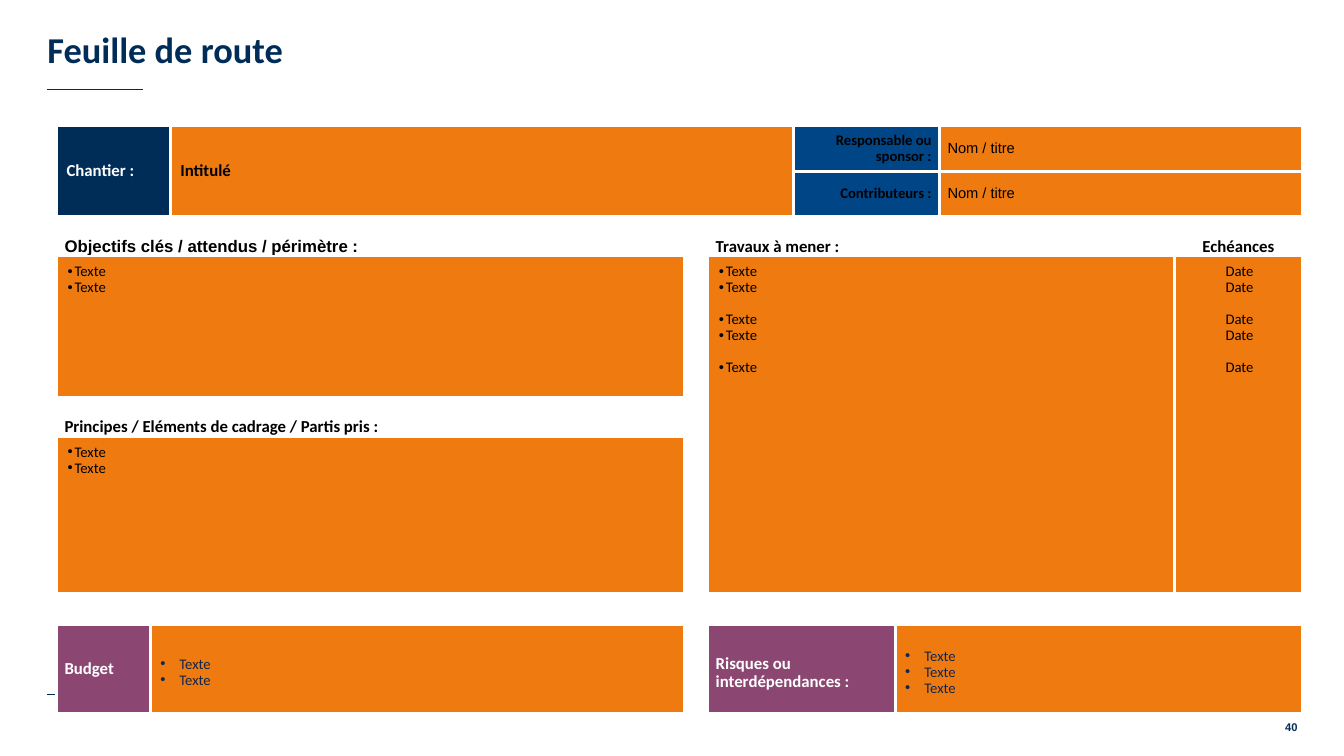
from lxml import etree
from pptx import Presentation
from pptx.dml.color import RGBColor
from pptx.enum import shapes, text
from pptx.oxml import ns
from pptx.util import Inches, Pt

NAVY = RGBColor(0x00, 0x2C, 0x58)
BLUE = RGBColor(0x00, 0x46, 0x87)
ORANGE = RGBColor(0xEF, 0x7B, 0x10)
PLUM = RGBColor(0x8B, 0x47, 0x71)
INK = RGBColor(0x13, 0x26, 0x4A)
BLACK = RGBColor(0, 0, 0)
WHITE = RGBColor(0xFF, 0xFF, 0xFF)

TOP, MIDDLE, BOTTOM = (text.MSO_ANCHOR.TOP, text.MSO_ANCHOR.MIDDLE,
                       text.MSO_ANCHOR.BOTTOM)
LEFT, CENTER, RIGHT = text.PP_ALIGN.LEFT, text.PP_ALIGN.CENTER, text.PP_ALIGN.RIGHT

COLUMNS = [0.93, 0.16, 5.1, 0.23, 0.85, 1.01, 0.44, 2.33, 1.27]
ROWS = [0.45, 0.45, 0.39, 1.4, 0.39, 1.56, 0.3, 0.88]
GROUP_GAP = Pt(11.4)  # one line between groups of tasks


def add_run(p, content, size, color=BLACK, bold=False, font="Calibri"):
    r = p.add_run()
    r.text = content
    r.font.size, r.font.name, r.font.bold = Pt(size), font, bold
    r.font.color.rgb = color


def add_rule(slide, x1, x2, y):
    line = slide.shapes.add_connector(shapes.MSO_CONNECTOR.STRAIGHT,
                                      Inches(x1), Inches(y), Inches(x2), Inches(y))
    line.line.color.rgb = NAVY
    line.line.width = Pt(0.75)
    etree.SubElement(line._element.spPr, ns.qn("a:effectLst"))


def set_margins(box, left, top, right, bottom):
    box.margin_left, box.margin_top = Inches(left), Inches(top)
    box.margin_right, box.margin_bottom = Inches(right), Inches(bottom)


def set_indent(p, left, first=0, bullet=None):
    pPr = p._p.get_or_add_pPr()
    pPr.set("marL", str(Inches(left)))
    pPr.set("indent", str(Inches(first)))
    if bullet is not None:
        color = etree.SubElement(pPr, ns.qn("a:buClr"))
        etree.SubElement(color, ns.qn("a:srgbClr"), val=str(bullet))
        etree.SubElement(pPr, ns.qn("a:buFont"), typeface="Arial")
        etree.SubElement(pPr, ns.qn("a:buChar"), char="•")


def add_white_borders(cell):
    tcPr = cell._tc.get_or_add_tcPr()
    for side in ("lnL", "lnR", "lnT", "lnB"):
        ln = etree.SubElement(tcPr, ns.qn("a:" + side), w=str(Pt(2.25)))
        fill = etree.SubElement(ln, ns.qn("a:solidFill"))
        etree.SubElement(fill, ns.qn("a:srgbClr"), val=str(WHITE))


def add_grid(slide):
    frame = slide.shapes.add_table(len(ROWS), len(COLUMNS), Inches(0.56), Inches(1.25),
                                   Inches(sum(COLUMNS)), Inches(sum(ROWS)))
    table = frame.table
    table.first_row = table.horz_banding = False
    for column, width in zip(table.columns, COLUMNS):
        column.width = Inches(width)
    for row, height in zip(table.rows, ROWS):
        row.height = Inches(height)
    for cell in table.iter_cells():
        add_white_borders(cell)
        set_margins(cell, 0, 0, 0, 0)
        cell.fill.solid()
        cell.fill.fore_color.rgb = WHITE
    return table


def area(table, row, col, rows=1, cols=1, fill=WHITE, anchor=MIDDLE, top=0):
    cell = table.cell(row, col)
    if rows * cols > 1:
        cell.merge(table.cell(row + rows - 1, col + cols - 1))
    cell.fill.fore_color.rgb = fill
    cell.vertical_anchor = anchor
    set_margins(cell, 0.08, top, 0.08, 0)
    return cell


def write_label(cell, content, size=12, color=BLACK, bold=True, font="Calibri",
                align=LEFT, indent=0):
    p = cell.text_frame.paragraphs[0]
    p.alignment, p.line_spacing = align, 0.9
    set_indent(p, indent)
    add_run(p, content, size, color, bold, font)


def write_list(cell, word, groups, left, first=0, color=BLACK, bulleted=True, align=LEFT):
    """Write the word once per line, with a gap before each later group."""
    tf = cell.text_frame
    for g, count in enumerate(groups):
        for i in range(count):
            p = tf.paragraphs[0] if g == i == 0 else tf.add_paragraph()
            p.alignment, p.line_spacing = align, 0.9
            if g and i == 0:
                p.space_before = GROUP_GAP
            set_indent(p, left, first, color if bulleted else None)
            add_run(p, word, 10.5, color)


def add_title(slide, content):
    title = slide.shapes.title
    title.left, title.top = Inches(0.47), Inches(0)
    title.width, title.height = Inches(12.39), Inches(0.73)
    tf = title.text_frame
    tf.vertical_anchor = BOTTOM
    tf.auto_size = text.MSO_AUTO_SIZE.NONE
    set_margins(tf, 0, 0.05, 0.02, 0.02)
    p = tf.paragraphs[0]
    p.alignment, p.line_spacing = LEFT, 0.9
    add_run(p, content, 26, NAVY, True)


def add_page_number(slide, number):
    sp = slide.shapes.add_textbox(Inches(12.48), Inches(7.15), Inches(0.39), Inches(0.2))
    tf = sp.text_frame
    tf.word_wrap = True
    set_margins(tf, 0, 0, 0, 0)
    p = tf.paragraphs[0]
    p.alignment = RIGHT
    add_run(p, number, 8, NAVY, True, "Arial")


def main():
    prs = Presentation()
    prs.slide_width, prs.slide_height = Inches(13.33), Inches(7.5)
    slide = prs.slides.add_slide(prs.slide_layouts[5])

    # Title and rules
    add_rule(slide, 0.47, 12.86, 6.89)
    add_rule(slide, 0.47, 1.42, 0.89)
    add_title(slide, "Feuille de route")
    table = add_grid(slide)

    # Project header
    write_label(area(table, 0, 0, 2, 2, NAVY), "Chantier :", color=WHITE, indent=0.02)
    write_label(area(table, 0, 2, 2, 3, ORANGE), "Intitulé", indent=0.02)
    for row, role in enumerate(("Responsable ou sponsor :", "Contributeurs :")):
        write_label(area(table, row, 5, 1, 2, BLUE), role, 10.5, align=RIGHT)
        write_label(area(table, row, 7, 1, 2, ORANGE), "Nom / titre", 10.5,
                    bold=False, font="Arial")

    # Goals and principles
    area(table, 2, 3, rows=4)
    for row, heading, font, top in (
            (2, "Objectifs clés / attendus / périmètre :", "Arial", 0),
            (4, "Principes / Eléments de cadrage / Partis pris :", "Calibri", 0.08)):
        write_label(area(table, row, 0, 1, 3, anchor=BOTTOM, top=top), heading, font=font)
        write_list(area(table, row + 1, 0, 1, 3, ORANGE, TOP, 0.08), "Texte", [2], 0.1, -0.07)

    # Tasks and due dates
    task_groups = [2, 2, 1]
    write_label(area(table, 2, 4, 1, 4, anchor=BOTTOM), "Travaux à mener :")
    write_label(area(table, 2, 8, anchor=BOTTOM), "Echéances", align=CENTER)
    write_list(area(table, 3, 4, 3, 4, ORANGE, TOP, 0.08), "Texte", task_groups, 0.1, -0.07)
    write_list(area(table, 3, 8, 3, 1, ORANGE, TOP, 0.08), "Date", task_groups, 0.02,
               bulleted=False, align=CENTER)

    # Budget and risks
    for col, cols, heading, top, list_cols, count in (
            (0, 1, "Budget", 0, 2, 2),
            (4, 2, "Risques ou interdépendances :", 0.08, 3, 3)):
        write_label(area(table, 7, col, 1, cols, PLUM, top=top), heading, color=WHITE)
        write_list(area(table, 7, col + cols, 1, list_cols, ORANGE, top=0.08),
                   "Texte", [count], 0.21, -0.19, INK)

    add_page_number(slide, "40")
    prs.save("out.pptx")


if __name__ == "__main__":
    main()
